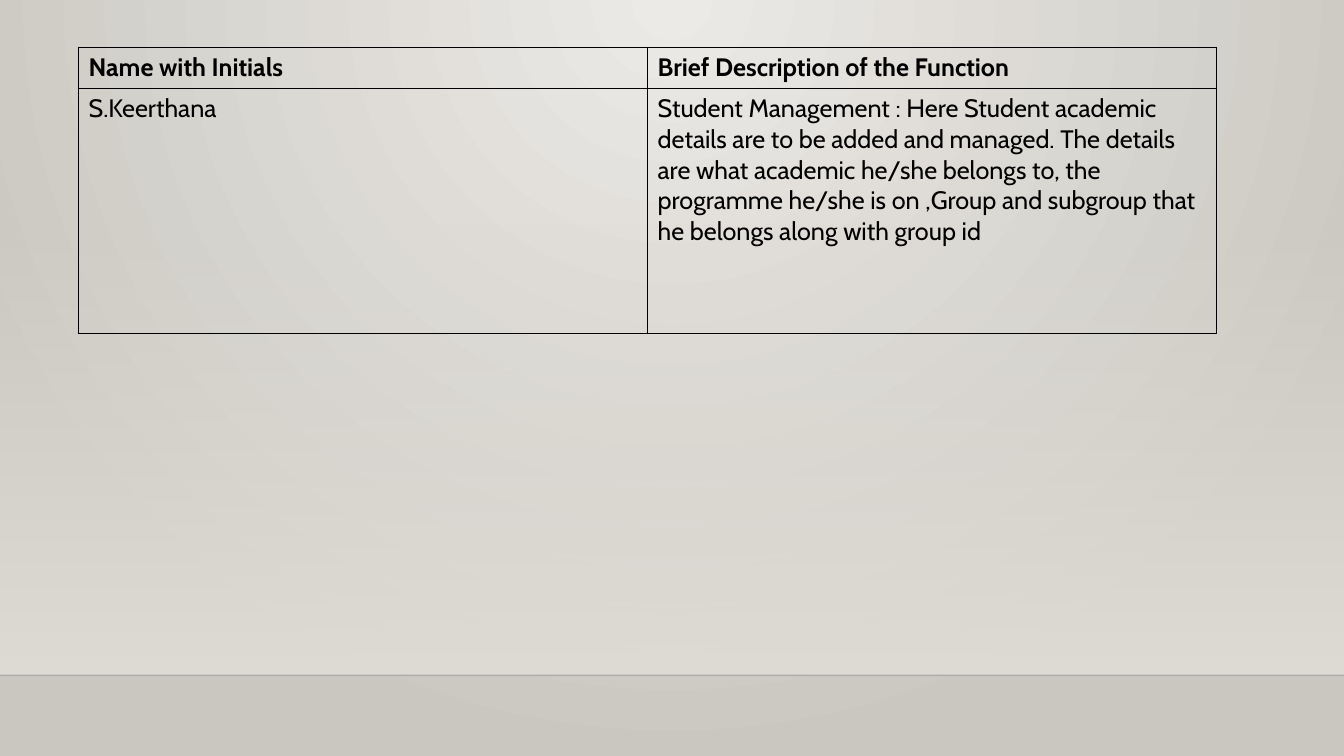
from dataclasses import dataclass

from lxml import etree
from pptx import Presentation, util as u
from pptx.dml import color
from pptx.enum import shapes
from pptx.oxml import ns


@dataclass(frozen=True)
class Theme:
    """Colours, font and sizes of the slide."""
    font: str = "Cabin"
    size: int = 18
    ink: str = "000000"
    edge: str = "000001"
    glow: str = "ECEAE7"
    wall: str = "CAC7C1"
    haze: str = "DFDBD5"
    line: int = 1


def rgb(code):
    """Turn a hex code into a colour."""
    return color.RGBColor.from_string(code)


def sub(node, tag, **attrs):
    """Add a drawing element to a node."""
    return etree.SubElement(node, ns.qn("a:" + tag), attrs)


def blend(fill, tones):
    """Give a fill a two-stop gradient."""
    fill.gradient()
    for stop, tone, pos in zip(fill.gradient_stops, tones, (0, 1)):
        stop.position = pos
        stop.color.rgb = rgb(tone)


def write(frame, words, font, size, ink, bold=False):
    """Write formatted text into a frame."""
    run = frame.paragraphs[0].add_run()
    run.text = words
    run.font.name, run.font.size, run.font.bold = font, u.Pt(size), bold
    run.font.color.rgb = rgb(ink)


class Board:
    """Draw themed elements on one slide."""

    def __init__(self, slide, theme):
        """Keep the slide and its theme."""
        self.slide, self.theme = slide, theme

    def back(self):
        """Fill the background with light from the top centre."""
        blend(self.slide.background.fill, (self.theme.glow, self.theme.wall))
        grad = self.slide.element.find(".//" + ns.qn("a:gradFill"))
        grad.remove(grad.find(ns.qn("a:lin")))
        sub(sub(grad, "path", path="circle"), "fillToRect",
            l="43000", t="0", r="43000", b="100000")

    def haze(self, left, top, width, height):
        """Add a band that fades in downwards."""
        band = self.slide.shapes.add_shape(
            shapes.MSO_SHAPE.RECTANGLE, *map(u.Cm, (left, top, width, height)))
        band.shadow.inherit = False
        band.line.fill.background()
        blend(band.fill, (self.theme.haze, self.theme.haze))
        band.fill.gradient_angle = 270
        sub(band.element.find(".//" + ns.qn("a:srgbClr")), "alpha", val="0")

    def rule(self, left, right, top):
        """Add a faint horizontal line."""
        rule = self.slide.shapes.add_connector(
            shapes.MSO_CONNECTOR.STRAIGHT, *map(u.Cm, (left, top, right, top)))
        rule.line.width = u.Pt(self.theme.line)
        rule.line.color.rgb = rgb(self.theme.edge)
        sub(rule.element.find(".//" + ns.qn("a:srgbClr")), "alpha", val="20000")
        sub(rule.element.spPr, "effectLst")

    def frame(self, cell):
        """Border all sides of a clear cell."""
        props = cell._tc.get_or_add_tcPr()
        for side in ("lnL", "lnR", "lnT", "lnB"):
            edge = sub(props, side, w=str(u.Pt(self.theme.line)))
            sub(sub(edge, "solidFill"), "srgbClr", val=self.theme.ink)
        cell.fill.background()

    def table(self, left, top, width, highs, rows):
        """Add a table with equal columns and a bold first row."""
        cols = len(rows[0])
        table = self.slide.shapes.add_table(
            len(rows), cols, *map(u.Cm, (left, top, width, sum(highs)))).table
        table.first_row = table.horz_banding = False
        for col in table.columns:
            col.width = u.Cm(width / cols)
        for r, (high, row) in enumerate(zip(highs, rows)):
            table.rows[r].height = u.Cm(high)
            for c, words in enumerate(row):
                cell = table.cell(r, c)
                self.frame(cell)
                write(cell.text_frame, words, font=self.theme.font,
                      size=self.theme.size, ink=self.theme.ink, bold=r == 0)


def main():
    """Build and save the slide."""
    wide, floor = 33.87, 17.02
    deck = Presentation()
    deck.slide_width, deck.slide_height = u.Cm(wide), u.Cm(19.05)
    board = Board(deck.slides.add_slide(deck.slide_layouts[6]), Theme())
    board.back()
    board.haze(0, 5.61, wide, floor - 5.61)
    board.rule(0, wide, floor)
    board.table(1.98, 1.19, 28.68, (1.03, 6.19), (
        ("Name with Initials", "Brief Description of the Function"),
        ("S.Keerthana",
         "Student Management : Here Student academic details are to be added "
         "and managed. The details are what academic he/she belongs to, the "
         "programme he/she is on ,Group and subgroup that he belongs along "
         "with group id")))
    deck.save("out.pptx")


if __name__ == "__main__":
    main()
